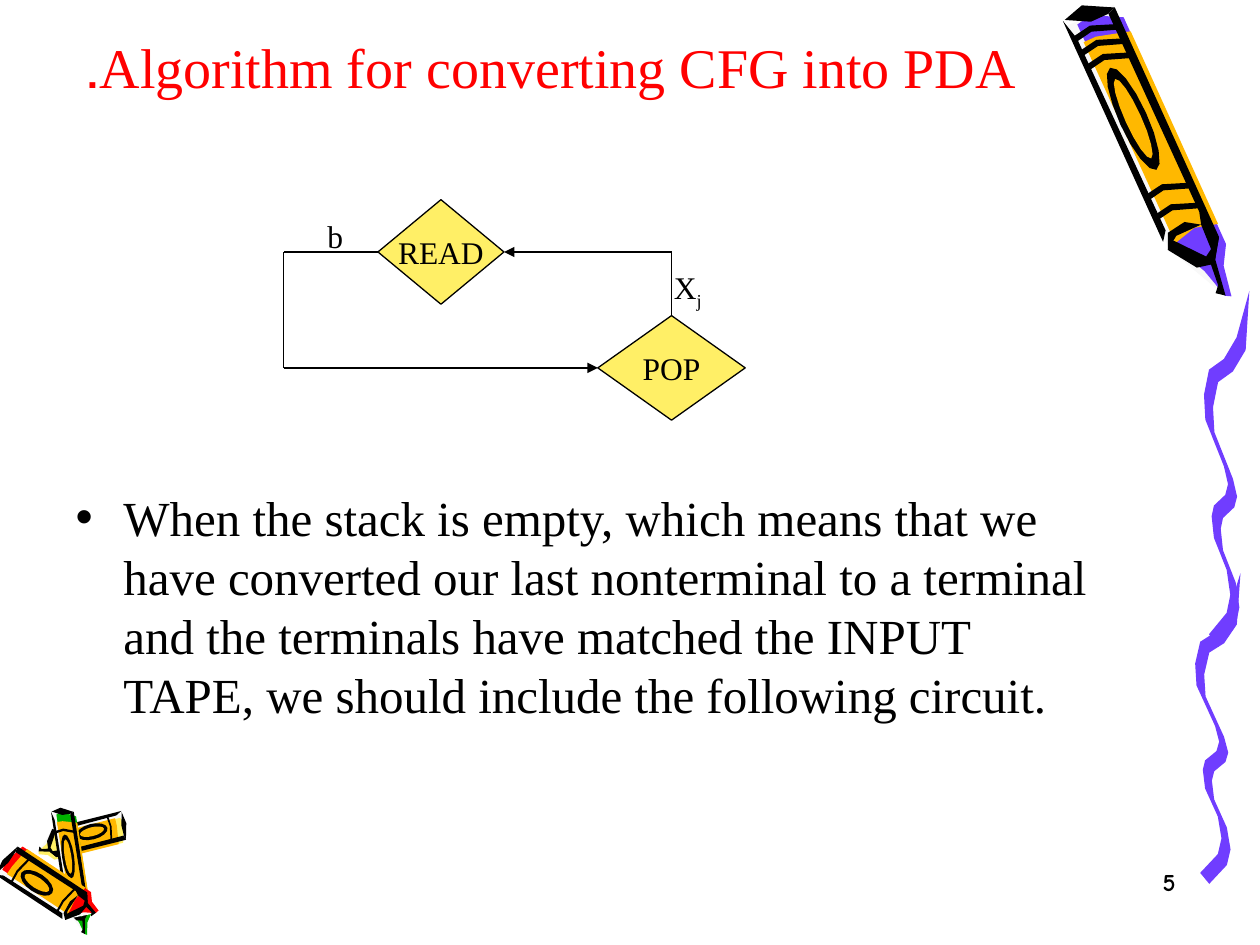
import math
from lxml import etree
from pptx import Presentation, util as u
from pptx.dml.color import RGBColor
from pptx.enum import shapes as kinds, text as t
from pptx.oxml.ns import qn

WIDTH, HEIGHT = 10, 7.5
SERIF = "Times New Roman"
BLACK, RED, GREEN, PURPLE = "000000", "FF0000", "00B200", "703DFF"
AMBER, YELLOW, PALE = "FFB800", "FFEF66", "F8F8F8"
TOP, LEFT, BOTTOM, RIGHT = range(4)  # connection sites of a shape

# Content
TITLE = "Algorithm for converting CFG into PDA."
BODY = ("When the stack is empty, which means that we have converted our last nonterminal "
        "to a terminal and the terminals have matched the INPUT TAPE, we should include "
        "the following circuit.")
PAGE = "5"

# Diagram: states as centre x, centre y, width, height
STATES = {"READ": (3.5, 2, 1, 0.83), "POP": (5.33, 2.92, 1.17, 0.83)}
# Routes: start state and side, x of the vertical run, end state and side
ROUTES = [("POP", TOP, 5.33, "READ", RIGHT), ("READ", LEFT, 2.25, "POP", LEFT)]
# Labels: box, words, subscript
LABELS = [((5.25, 2.08, 0.5, 0.44), "X", "j"), ((2.5, 1.67, 0.5, 0.4), "b", "")]

# Crayons: centre of the blunt end, point, thickness, wax colour, bands along the length
CRAYONS = [
    dict(end=(0.98, 6.56), tip=(0.3, 6.73), thickness=0.22, wax=YELLOW, bands=[0.14]),
    dict(end=(0.5, 6.45), tip=(0.65, 7.42), thickness=0.17, wax=GREEN, bands=[0.14]),
    dict(end=(0.06, 6.83), tip=(0.74, 7.28), thickness=0.27, wax=RED, bands=[0.14, 0.67]),
    dict(end=(8.66, 0.12), tip=(9.68, 2.37), thickness=0.4, wax=PURPLE,
         bands=[0.04, 0.09, 0.14, 0.6, 0.67]),
]
# Crayon parts as (share of length from blunt end, share of thickness from axis)
BACKING = [(0, -0.5), (0.79, -0.5), (1, 0.13), (0.82, 0.5), (0, 0.5)]
WAX = [(0.01, -0.32), (0.81, -0.32), (0.9, -0.04), (1, 0.13), (1.01, 0.24), (0.91, 0.35),
       (0.85, 0.57), (0.05, 0.58), (0, 0)]
WRAPPER = [(0.78, -0.34), (0.76, 0.13), (0.78, 0.59), (0.1, 0.59), (0.07, -0.08), (0.07, -0.35)]
INK = {
    "lower edge": [(-0.02, -0.55), (0.76, -0.55), (0.73, -0.41), (0.05, -0.44)],
    "upper edge": [(0.02, 0.33), (0.72, 0.35), (0.76, 0.28), (0.88, 0.25), (0.82, 0.5), (0.01, 0.5)],
    "blunt end": [(-0.02, -0.51), (0.02, -0.05), (0.02, 0.33), (0.01, 0.5), (-0.04, -0.08)],
    "collar": [(0.79, -0.53), (0.76, -0.26), (0.76, 0.28), (0.73, 0), (0.74, -0.39)],
    "cone": [(0.79, -0.53), (0.76, -0.4), (0.86, 0.11), (0.82, 0.5), (0.88, 0.25), (1, 0.14),
             (0.98, -0.02), (0.96, 0.09), (0.89, 0.13), (0.88, -0.15)],
}
BAND = [(0.02, -0.49), (0.01, -0.12), (0.04, 0.39), (0.02, 0.38), (-0.01, -0.1), (0, -0.48)]
BADGE_CENTRE = (0.36, -0.08)
BADGE_RADII = [(BLACK, 0.18, 0.28), (AMBER, 0.14, 0.16)]

# Squiggle: left edge of one pen stroke from its top, inside a unit box
STROKE = [(1, 0), (0.72, 0.13), (0.44, 0.19), (0.11, 0.22), (0, 0.29), (0.03, 0.36), (0.44, 0.49),
          (0.53, 0.54), (0.47, 0.57), (0.22, 0.6), (0.17, 0.63), (0.22, 0.69), (0.5, 0.78),
          (0.58, 0.85), (0.5, 0.9), (0.11, 0.96)]
NIB = (0.2, 0.035)  # pen width: the right edge is the left edge moved by this
STROKE_BOXES = [(9.49, 4.55, 0.36, 2.48), (9.56, 2.31, 0.36, 2.84)]


def color(value):
    return RGBColor.from_string(value)


def inches(*values):
    return [u.Inches(value) for value in values]


def write(frame, words, size=18, font=SERIF, ink=BLACK, bold=False, align=t.PP_ALIGN.LEFT,
          anchor=t.MSO_ANCHOR.TOP, wrap=True, subscript=""):
    frame.word_wrap, frame.vertical_anchor = wrap, anchor
    frame.auto_size = t.MSO_AUTO_SIZE.NONE
    paragraph = frame.paragraphs[0]
    paragraph.alignment = align
    for part in filter(None, (words, subscript)):
        run = paragraph.add_run()
        run.text = part
        run.font.size, run.font.name, run.font.bold = u.Pt(size), font, bold
        run.font.color.rgb = color(ink)
    if subscript:
        run.font._element.set("baseline", "-25000")
    return paragraph


def paint(shape, fill, line=None):
    shape.shadow.inherit = False
    shape.fill.solid()
    shape.fill.fore_color.rgb = color(fill)
    if line:
        shape.line.color.rgb, shape.line.width = color(line), u.Pt(0.75)
    else:
        shape.line.fill.background()


def add_outline(shapes, points, fill):
    corners = [(round(x * 1000), round(y * 1000)) for x, y in points]
    builder = shapes.build_freeform(*corners[0], scale=u.Inches(0.001))
    builder.add_line_segments(corners[1:], close=True)
    paint(builder.convert_to_shape(), fill)


def ellipse(centre, radius_x, radius_y, steps=16):
    angles = [2 * math.pi * step / steps for step in range(steps)]
    return [(centre[0] + radius_x * math.cos(a), centre[1] + radius_y * math.sin(a)) for a in angles]


def draw_crayon(slide, end, tip, thickness, wax, bands):
    group = slide.shapes.add_group_shape()
    along = (tip[0] - end[0], tip[1] - end[1])
    length = math.hypot(*along)
    across = (along[1] / length * thickness, -along[0] / length * thickness)

    def add_part(part, fill):
        points = [tuple(end[i] + a * along[i] + b * across[i] for i in (0, 1)) for a, b in part]
        add_outline(group.shapes, points, fill)

    for part, fill in ((BACKING, PALE), (WAX, wax), (WRAPPER, AMBER)):
        add_part(part, fill)
    for part in INK.values():
        add_part(part, BLACK)
    for start in bands:
        add_part([(start + a, b) for a, b in BAND], BLACK)
    for fill, *radii in BADGE_RADII:
        add_part(ellipse(BADGE_CENTRE, *radii), fill)


def draw_squiggle(slide):
    group = slide.shapes.add_group_shape()
    right_edge = [(x + NIB[0], y + NIB[1]) for x, y in STROKE[1:]]
    for left, top, width, height in STROKE_BOXES:
        points = [(left + x * width, top + y * height) for x, y in STROKE + right_edge[::-1]]
        add_outline(group.shapes, points, PURPLE)


def add_line(slide, start, end, arrow=False):
    line = slide.shapes.add_connector(kinds.MSO_CONNECTOR.STRAIGHT, *inches(*start, *end))
    line.line.color.rgb, line.line.width = color(BLACK), u.Pt(0.75)
    if arrow:
        etree.SubElement(line.line._get_or_add_ln(), qn("a:tailEnd"), type="triangle")
    etree.SubElement(line._element.spPr, qn("a:effectLst"))
    return line


def side_point(state, side):
    x, y, width, height = STATES[state]
    return {TOP: (x, y - height / 2), BOTTOM: (x, y + height / 2),
            LEFT: (x - width / 2, y), RIGHT: (x + width / 2, y)}[side]


def draw_diagram(slide):
    states = {}
    for name, (x, y, width, height) in STATES.items():
        box = inches(x - width / 2, y - height / 2, width, height)
        states[name] = slide.shapes.add_shape(kinds.MSO_SHAPE.FLOWCHART_DECISION, *box)
        paint(states[name], YELLOW, BLACK)
        write(states[name].text_frame, name, align=t.PP_ALIGN.CENTER,
              anchor=t.MSO_ANCHOR.MIDDLE, wrap=False)
    for source, source_side, lane, target, target_side in ROUTES:
        start, end = side_point(source, source_side), side_point(target, target_side)
        # A route leaving straight up its lane needs no first corner
        turns = [(lane, y) for y in (start[1], end[1]) if (lane, y) != start]
        stops = [start, *turns, end]
        lines = [add_line(slide, a, b, arrow=b == end) for a, b in zip(stops, stops[1:])]
        lines[0].begin_connect(states[source], source_side)
        lines[-1].end_connect(states[target], target_side)
    for box, words, subscript in LABELS:
        write(slide.shapes.add_textbox(*inches(*box)).text_frame, words, subscript=subscript)


def place(shape, *box):
    shape.left, shape.top, shape.width, shape.height = inches(*box)


def main():
    presentation = Presentation()
    presentation.slide_width, presentation.slide_height = inches(WIDTH, HEIGHT)
    slide = presentation.slides.add_slide(presentation.slide_layouts[1])
    title, body = slide.placeholders

    # Decorations
    draw_squiggle(slide)
    for crayon in CRAYONS:
        draw_crayon(slide, **crayon)

    # Title, set right to left
    place(title, 0.58, 0.17, 7.75, 0.67)
    heading = write(title.text_frame, TITLE, size=32, ink=RED, anchor=t.MSO_ANCHOR.BOTTOM)
    heading._p.get_or_add_pPr().set("rtl", "1")

    # Bulleted body, its text starting below the diagram
    place(body, 0.5, 1, 8.42, 5.75)
    body.text_frame.margin_top = u.Inches(2.87)
    item = write(body.text_frame, BODY, size=28)
    item.line_spacing, item.space_before = 1.0, u.Pt(0)
    properties = item._p.get_or_add_pPr()
    properties.set("marL", str(u.Inches(0.38)))
    properties.set("indent", str(-u.Inches(0.38)))
    etree.SubElement(properties, qn("a:buChar"), char="•")

    draw_diagram(slide)

    # Page number
    page = slide.shapes.add_textbox(*inches(7.35, 6.83, 2.08, 0.5))
    write(page.text_frame, PAGE, size=14, font="Comic Neue", bold=True, align=t.PP_ALIGN.RIGHT)
    presentation.save("out.pptx")


if __name__ == "__main__":
    main()
